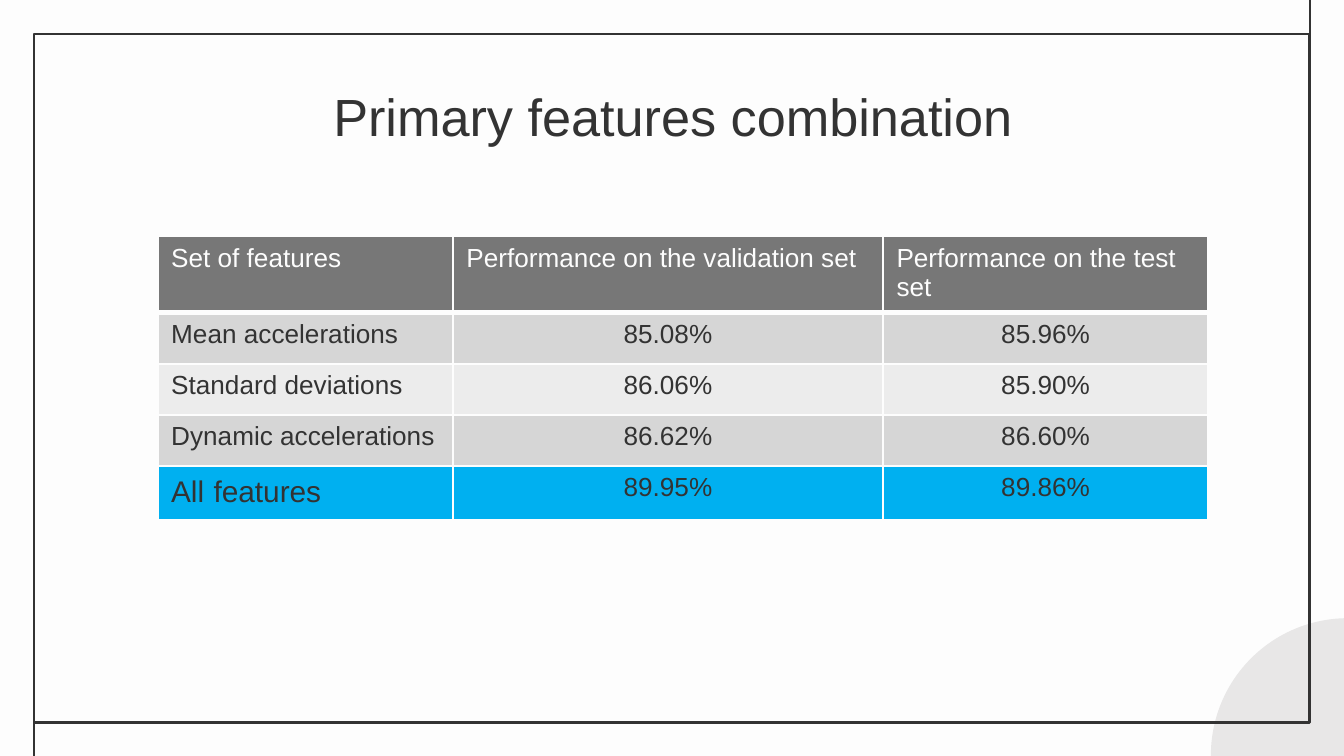
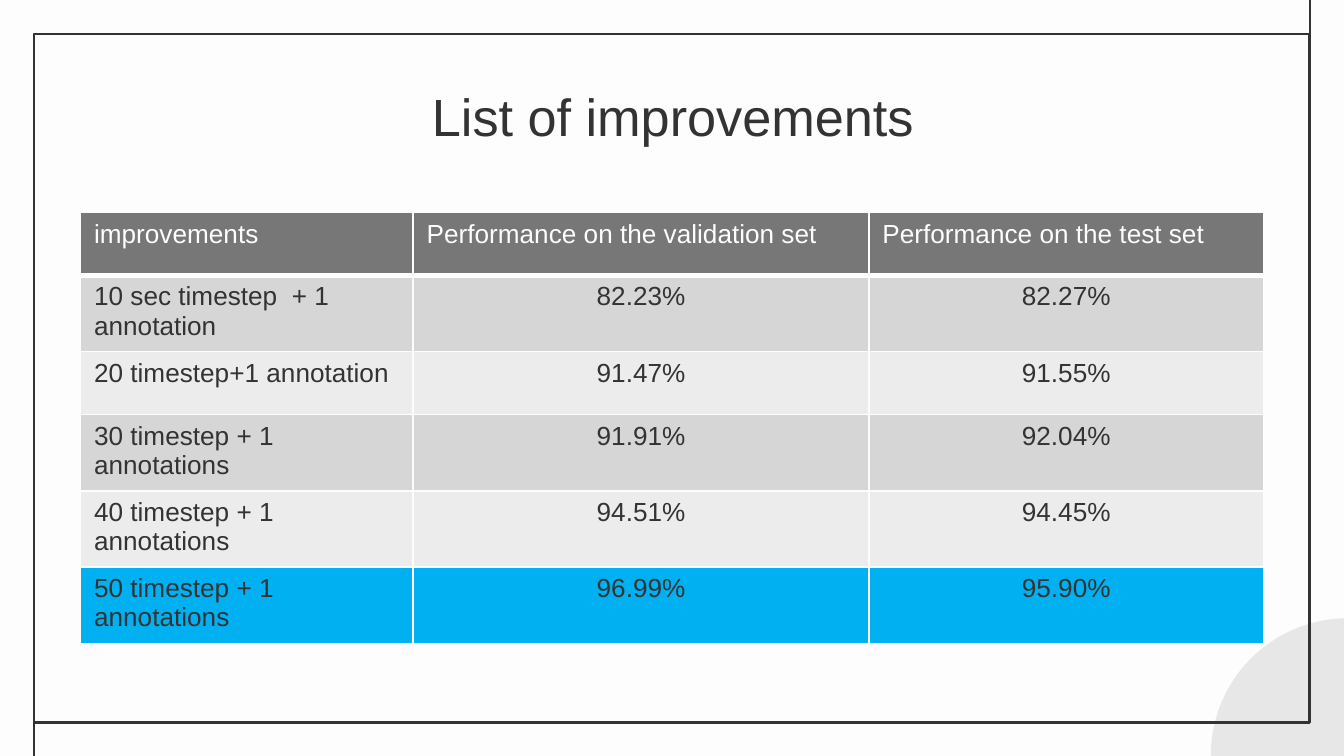
from lxml import etree
from pptx import Presentation
from pptx.dml.color import RGBColor
from pptx.enum.shapes import MSO_CONNECTOR, MSO_SHAPE
from pptx.enum.text import MSO_ANCHOR, PP_ALIGN
from pptx.oxml.ns import qn
from pptx.util import Pt

LEFT, CENTER = PP_ALIGN.LEFT, PP_ALIGN.CENTER
TOP = MSO_ANCHOR.TOP
STRAIGHT = MSO_CONNECTOR.STRAIGHT
OVAL, RECTANGLE = MSO_SHAPE.OVAL, MSO_SHAPE.RECTANGLE

FONT = "Arial"
PAPER, INK = "FDFDFD", "333333"
CORNER_GREY, HEADER_GREY = "E8E7E7", "777777"
BANDS = ("D6D6D6", "ECECEC")
HIGHLIGHT = "00B0F0"
LINE_WIDTH = 1.5

SLIDE_SIZE = (720, 405)
CORNER_CIRCLE = (648.7, 331.2, 146.9, 146.9)
FRAME = (18.2, 18.2, 683.3, 368.8)
FRAME_TAILS = [(701.8, 18.7, 701.8, -3.6), (18.2, 409.7, 18.2, 387.4)]
TITLE_BOX = (56.9, 35.3, 607, 45.4)

PAGES = [
    {
        "title": "Primary features combination",
        "position": (84.5, 126.8),
        "columns": (158.2, 230.4, 174.2),
        "row_heights": (27.3,) * 5,
        "rows": [
            ("Set of features", "Performance on the validation set", "Performance on the test set"),
            ("Mean accelerations", "85.08%", "85.96%"),
            ("Standard deviations", "86.06%", "85.90%"),
            ("Dynamic accelerations", "86.62%", "86.60%"),
            ((("All", 16), (" ", 18), ("features", 16)), "89.95%", "89.86%"),
        ],
    },
    {
        "title": "List of improvements",
        "position": (43.2, 113.9),
        "columns": (178.2, 244.2, 211.4),
        "row_heights": (33.7,) * 4 + (36,) * 2,
        "rows": [
            ("improvements", "Performance on the validation set", "Performance on the test set"),
            ("10 sec timestep  + 1 annotation", "82.23%", "82.27%"),
            ("20 timestep+1 annotation", "91.47%", "91.55%"),
            ("30 timestep + 1 annotations", "91.91%", "92.04%"),
            ("40 timestep + 1 annotations", "94.51%", "94.45%"),
            ("50 timestep + 1 annotations", "96.99%", "95.90%"),
        ],
    },
]


def points(values):
    return [Pt(value) for value in values]


def color(hex_string):
    return RGBColor.from_string(hex_string)


def write(text_frame, text, size=14, ink=INK, align=LEFT):
    paragraph = text_frame.paragraphs[0]
    paragraph.alignment = align
    pieces = [(text, size)] if isinstance(text, str) else text
    for piece, piece_size in pieces:
        run = paragraph.add_run()
        run.text = piece
        run.font.name = FONT
        run.font.size = Pt(piece_size)
        run.font.color.rgb = color(ink)


def set_line(line):
    line.color.rgb = color(INK)
    line.width = Pt(LINE_WIDTH)


def add_backdrop(slide):
    slide.background.fill.solid()
    slide.background.fill.fore_color.rgb = color(PAPER)

    circle = slide.shapes.add_shape(OVAL, *points(CORNER_CIRCLE))
    circle.shadow.inherit = False
    circle.fill.solid()
    circle.fill.fore_color.rgb = color(CORNER_GREY)
    circle.line.fill.background()

    for ends in FRAME_TAILS:
        tail = slide.shapes.add_connector(STRAIGHT, *points(ends))
        set_line(tail.line)
        etree.SubElement(tail._element.spPr, qn("a:effectLst"))

    frame = slide.shapes.add_shape(RECTANGLE, *points(FRAME))
    frame.shadow.inherit = False
    frame.fill.background()
    set_line(frame.line)


def add_title(slide, title):
    text_frame = slide.shapes.add_textbox(*points(TITLE_BOX)).text_frame
    text_frame.word_wrap = True
    text_frame.vertical_anchor = TOP
    text_frame.margin_left = text_frame.margin_right = Pt(7.2)
    text_frame.margin_top = Pt(9.6)
    text_frame.margin_bottom = Pt(3.6)
    write(text_frame, title, size=28, align=CENTER)


def add_borders(cell, bottom_width):
    properties = cell._tc.get_or_add_tcPr()
    for side, width in (("L", 1), ("R", 1), ("T", 1), ("B", bottom_width)):
        border = etree.SubElement(properties, qn(f"a:ln{side}"), w=str(Pt(width)))
        fill = etree.SubElement(border, qn("a:solidFill"))
        etree.SubElement(fill, qn("a:srgbClr"), val=PAPER)


def row_fill(index, last):
    if index == 0:
        return HEADER_GREY
    return HIGHLIGHT if index == last else BANDS[(index - 1) % 2]


def add_results(slide, page):
    rows, columns, heights = page["rows"], page["columns"], page["row_heights"]
    box = points((*page["position"], sum(columns), sum(heights)))
    table = slide.shapes.add_table(len(rows), len(columns), *box).table
    table.horz_banding = False
    for column, width in zip(table.columns, columns):
        column.width = Pt(width)
    for row_index, texts in enumerate(rows):
        is_header = row_index == 0
        table.rows[row_index].height = Pt(heights[row_index])
        for column_index, text in enumerate(texts):
            cell = table.cell(row_index, column_index)
            add_borders(cell, 3 if is_header else 1)
            cell.fill.solid()
            cell.fill.fore_color.rgb = color(row_fill(row_index, len(rows) - 1))
            write(
                cell.text_frame,
                text,
                ink=PAPER if is_header else INK,
                align=LEFT if is_header or column_index == 0 else CENTER,
            )
    table.first_row = False


def main():
    presentation = Presentation()
    presentation.slide_width, presentation.slide_height = points(SLIDE_SIZE)
    for page in PAGES:
        slide = presentation.slides.add_slide(presentation.slide_layouts[6])
        add_backdrop(slide)
        add_title(slide, page["title"])
        add_results(slide, page)
    presentation.save("out.pptx")


if __name__ == "__main__":
    main()
